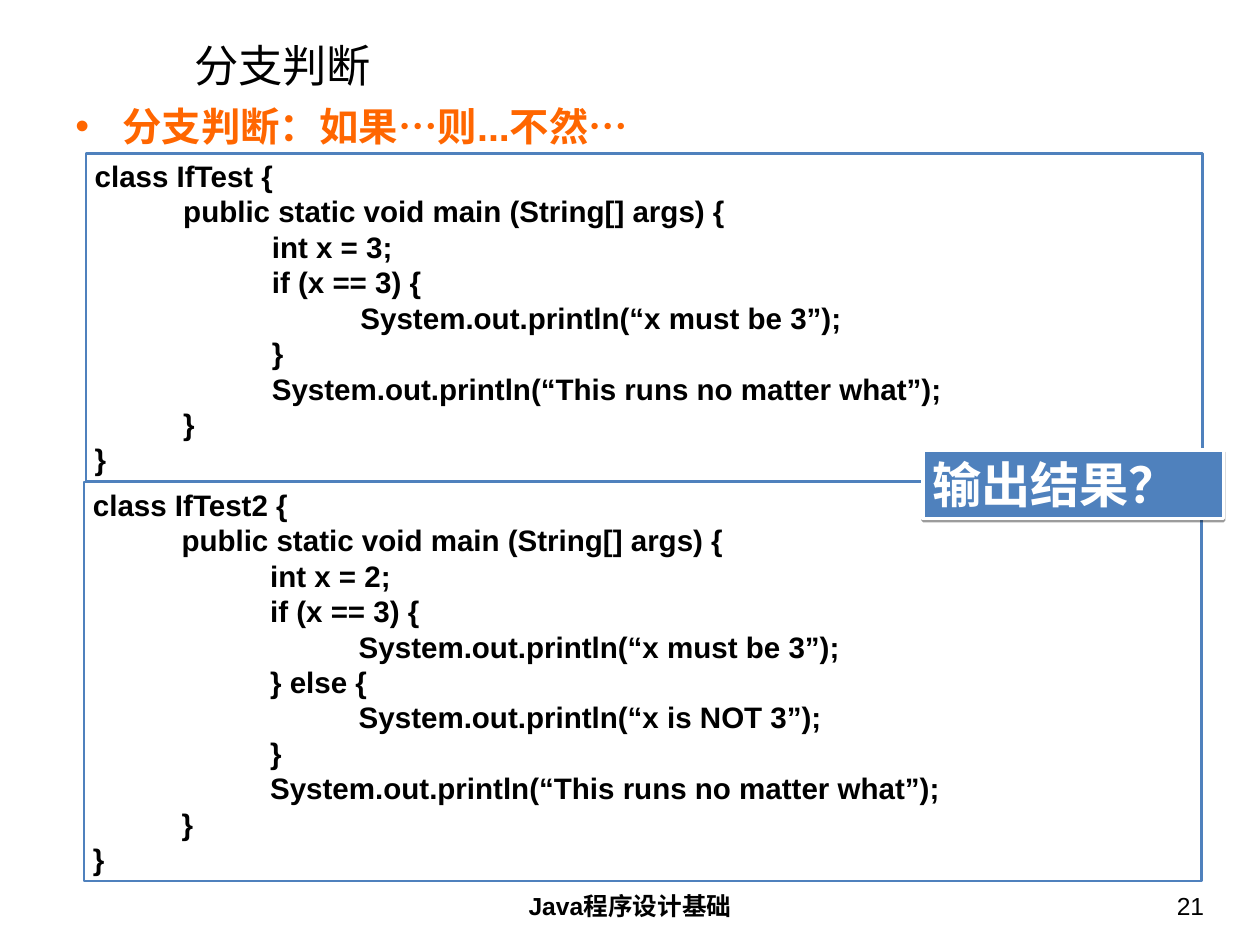
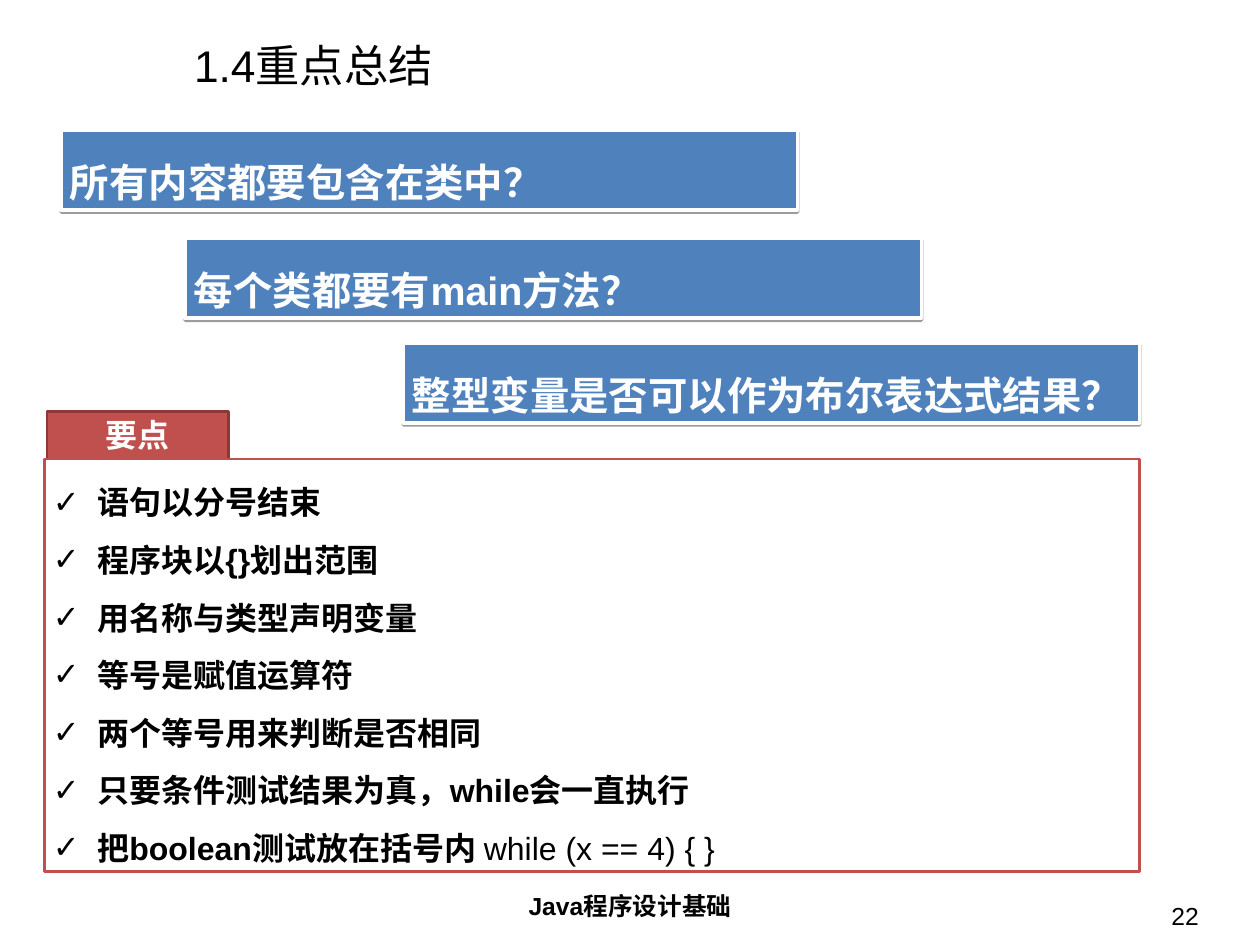
"""Build two slides on branching and the summary of section 1.4."""
import pptx
import pptx.dml.color
import pptx.enum.shapes
import pptx.enum.text
import pptx.oxml.ns
import pptx.util
from lxml import etree

PX = 9144
ALIGN = pptx.enum.text.PP_ALIGN
ANCHOR = pptx.enum.text.MSO_ANCHOR
RECT = pptx.enum.shapes.MSO_SHAPE.RECTANGLE
qn = pptx.oxml.ns.qn

THEME = dict(
    font="Arial", black="000000", white="FFFFFF", orange="FF6600",
    blue="4F81BD", red="C0504D", dark_red="8C3836",
    title=36, lead=32, ask=40, question=32, code=24, point=26, footer=20,
    leading=1.2,
)


def rgb(name):
    return pptx.dml.color.RGBColor.from_string(THEME[name])


def block(s, box, lines, size, color="black", bold=True, align=ALIGN.LEFT, spacing=1,
          fill=None, line=None, width=2, shadow=False, bullet=None, hang=0, tabs=0):
    left, top, w, h = [v * PX for v in box]
    if fill:
        sp = s.shapes.add_shape(RECT, left, top, w, h)
        sp.shadow.inherit = False
        sp.fill.solid()
        sp.fill.fore_color.rgb = rgb(fill)
        sp.line.color.rgb = rgb(line)
        sp.line.width = pptx.util.Pt(width)
    else:
        sp = s.shapes.add_textbox(left, top, w, h)
    if shadow:
        effects = sp._element.spPr.find(qn("a:effectLst"))
        outer = etree.SubElement(effects, qn("a:outerShdw"), blurRad="0", dist="20000",
                                 dir="5400000", rotWithShape="0")
        black = etree.SubElement(outer, qn("a:srgbClr"), val=THEME["black"])
        etree.SubElement(black, qn("a:alpha"), val="38000")
    tf = sp.text_frame
    tf.word_wrap = True
    tf.vertical_anchor = ANCHOR.TOP
    tf.margin_left = tf.margin_right = (10 if fill else 14) * PX
    tf.margin_top = tf.margin_bottom = (5 if fill else 7) * PX
    tf.text = "\n".join(lines)
    for p in tf.paragraphs:
        pPr = p._p.get_or_add_pPr()
        if bullet:
            pPr.set("marL", str(hang * PX))
            pPr.set("indent", str(-hang * PX))
            clr = etree.SubElement(pPr, qn("a:buClr"))
            etree.SubElement(clr, qn("a:srgbClr"), val=THEME[color])
            etree.SubElement(pPr, qn("a:buFont"), typeface=THEME["font"])
            etree.SubElement(pPr, qn("a:buChar"), char=bullet)
        if tabs:
            stops = etree.SubElement(pPr, qn("a:tabLst"))
            for i in range(1, tabs + 1):
                etree.SubElement(stops, qn("a:tab"), pos=str(i * 100 * PX), algn="l")
        p.alignment = align
        p.line_spacing = pptx.util.Pt(THEME[size] * THEME["leading"] * spacing)
        for r in p.runs:
            r.font.name = THEME["font"]
            r.font.size = pptx.util.Pt(THEME[size])
            r.font.bold = bold
            r.font.color.rgb = rgb(color)
    return tf


prs = pptx.Presentation()
prs.slide_width = 1422 * PX
prs.slide_height = 1066 * PX

slides = []
for title, number, left, top in [("分支判断", "21", 1041, 998), ("1.4重点总结", "22", 1035, 1009)]:
    s = prs.slides.add_slide(prs.slide_layouts[6])
    tf = block(s, (205, 45, 1183, 57), [title], "title", bold=False)
    tf.vertical_anchor = ANCHOR.MIDDLE
    block(s, (486, 998, 450, 55), ["Java程序设计基础"], "footer", align=ALIGN.CENTER)
    block(s, (left, top, 332, 55), [number], "footer", bold=False, align=ALIGN.RIGHT)
    slides.append(s)
branching, summary = slides

IF_TEST = """class IfTest {
	public static void main (String[] args) {
		int x = 3;
		if (x == 3) {
			System.out.println(“x must be 3”);
		}
		System.out.println(“This runs no matter what”);
	}
}"""
IF_TEST_2 = """class IfTest2 {
	public static void main (String[] args) {
		int x = 2;
		if (x == 3) {
			System.out.println(“x must be 3”);
		} else {
			System.out.println(“x is NOT 3”);
		}
		System.out.println(“This runs no matter what”);
	}
}"""

block(branching, (71, 108, 1280, 120), ["分支判断：如果…则...不然…"], "lead", "orange",
      bullet="•", hang=53)
for box, code in [((97, 173, 1260, 370), IF_TEST), ((95, 544, 1261, 450), IF_TEST_2)]:
    block(branching, box, code.split("\n"), "code", fill="white", line="blue", tabs=3)

banner = dict(color="white", fill="blue", line="white", width=3, shadow=True)
block(branching, (1042, 508, 339, 77), ["输出结果？"], "ask", **banner)

for left, top, question in [
    (69, 147, "所有内容都要包含在类中？"),
    (209, 269, "每个类都要有main方法？"),
    (455, 387, "整型变量是否可以作为布尔表达式结果？"),
]:
    block(summary, (left, top, 831, 90), [question], "question", spacing=1.5, **banner)

block(summary, (53, 464, 205, 54), ["要点"], "point", "white", align=ALIGN.CENTER,
      fill="red", line="dark_red")
POINTS = [
    "语句以分号结束",
    "程序块以{}划出范围",
    "用名称与类型声明变量",
    "等号是赋值运算符",
    "两个等号用来判断是否相同",
    "只要条件测试结果为真，while会一直执行",
    "把boolean测试放在括号内 ",
]
tf = block(summary, (50, 518, 1236, 465), POINTS, "point", spacing=1.5,
           fill="white", line="red", bullet="✓", hang=50)
r = tf.paragraphs[-1].add_run()
r.text = "while (x == 4) { }"
r.font.name = THEME["font"]
r.font.size = pptx.util.Pt(THEME["point"])
r.font.bold = False
r.font.color.rgb = rgb("black")

prs.save("out.pptx")
